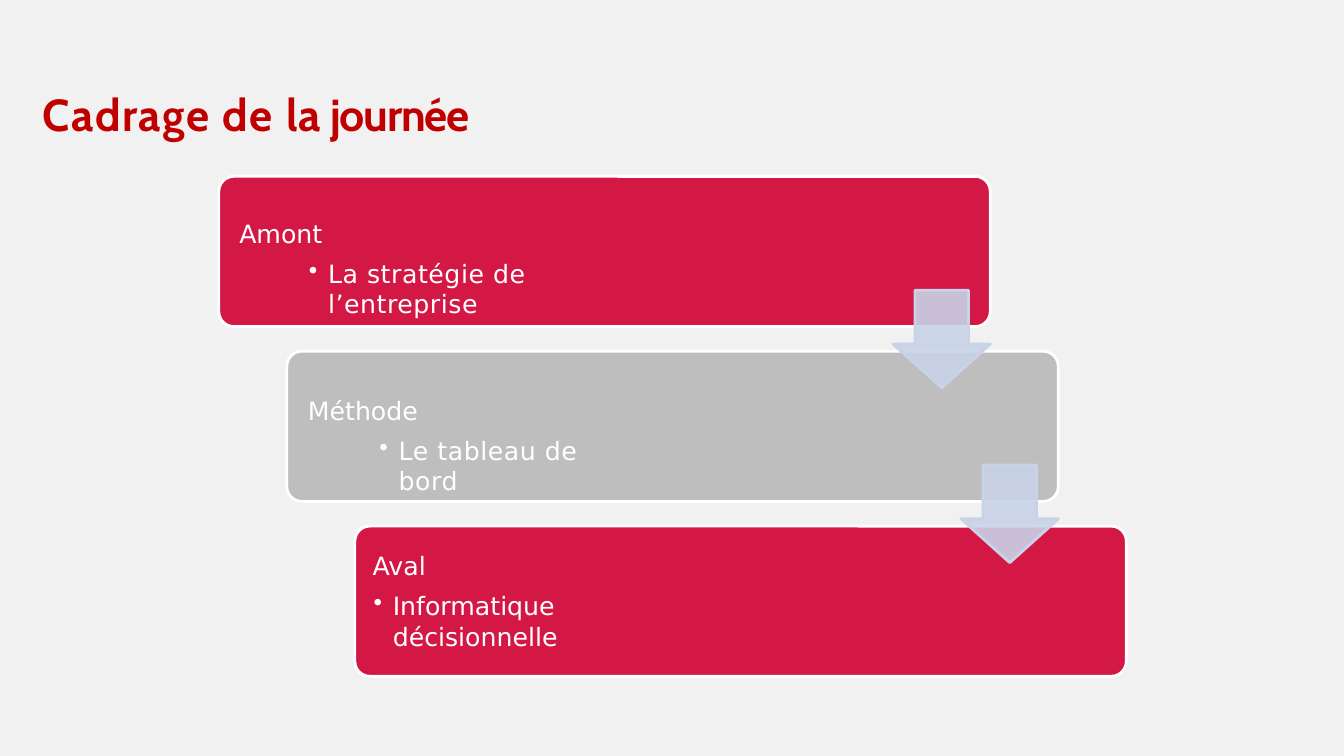
import dataclasses

import pptx
import pptx.dml.color
import pptx.enum.shapes
import pptx.enum.text
import pptx.oxml
import pptx.oxml.ns
import pptx.util


@dataclasses.dataclass(frozen=True)
class Theme:
    background: str = "F1F1F1"
    title: str = "C00000"
    accent: str = "D41846"
    neutral: str = "BEBEBE"
    light: str = "FFFFFF"
    arrow: str = "C8D3E8"
    title_font: str = "Cabin"
    body_font: str = "DejaVu Sans"
    title_size: int = 32
    body_size: int = 18
    bullet_gap: int = 7
    line_width: int = 2


def rgb(value):
    return pptx.dml.color.RGBColor.from_string(value)


class SlideBuilder:
    def __init__(self, presentation, theme):
        self.theme = theme
        self.width = presentation.slide_width
        self.height = presentation.slide_height
        self.slide = presentation.slides.add_slide(presentation.slide_layouts[5])
        fill = self.slide.background.fill
        fill.solid()
        fill.fore_color.rgb = rgb(theme.background)

    def across(self, percent):
        return round(self.width * percent / 100)

    def down(self, percent):
        return round(self.height * percent / 100)

    def box(self, left, top, width, height):
        return self.across(left), self.down(top), self.across(width), self.down(height)

    def style_run(self, run, font, size, color, spacing=0, bold=False):
        run.font.name = font
        run.font.size = pptx.util.Pt(size)
        run.font.color.rgb = rgb(color)
        run.font.bold = bold
        if spacing:
            run.font._element.set("spc", str(round(spacing * 100)))

    def prepare_frame(self, text_frame, left=0, top=0, right=0):
        text_frame.word_wrap = True
        text_frame.auto_size = pptx.enum.text.MSO_AUTO_SIZE.NONE
        text_frame.vertical_anchor = pptx.enum.text.MSO_ANCHOR.TOP
        text_frame.margin_left = self.across(left)
        text_frame.margin_top = self.down(top)
        text_frame.margin_right = self.across(right)
        text_frame.margin_bottom = 0

    def title(self, pieces, left, top, width, height):
        shape = self.slide.shapes.title
        shape.left, shape.top, shape.width, shape.height = self.box(left, top, width, height)
        self.prepare_frame(shape.text_frame)
        paragraph = shape.text_frame.paragraphs[0]
        paragraph.alignment = pptx.enum.text.PP_ALIGN.LEFT
        for text, spacing in pieces:
            run = paragraph.add_run()
            run.text = text
            self.style_run(run, self.theme.title_font, self.theme.title_size,
                           self.theme.title, spacing, True)

    def shape(self, kind, bounds, fill, line, adjustments):
        shape = self.slide.shapes.add_shape(kind, *self.box(*bounds))
        shape.shadow.inherit = False
        shape.fill.solid()
        shape.fill.fore_color.rgb = rgb(fill)
        shape.line.color.rgb = rgb(line)
        shape.line.width = pptx.util.Pt(self.theme.line_width)
        for index, value in enumerate(adjustments):
            shape.adjustments[index] = value
        return shape

    def card(self, bounds, fill, heading, detail, margin, detail_indent, spacing):
        shape = self.shape(pptx.enum.shapes.MSO_SHAPE.ROUNDED_RECTANGLE, bounds,
                           fill, self.theme.light, [0.1])
        self.prepare_frame(shape.text_frame, *margin)
        shape.text_frame.text = f"{heading}\n{detail}"
        for paragraph, tracking in zip(shape.text_frame.paragraphs, (0, spacing)):
            paragraph.alignment = pptx.enum.text.PP_ALIGN.LEFT
            for run in paragraph.runs:
                self.style_run(run, self.theme.body_font, self.theme.body_size,
                               self.theme.light, tracking)
        self.bullet(shape.text_frame.paragraphs[1], detail_indent)

    def bullet(self, paragraph, indent):
        paragraph.space_before = pptx.util.Pt(self.theme.bullet_gap)
        properties = paragraph._p.get_or_add_pPr()
        properties.set("marL", str(self.across(indent)))
        properties.set("indent", str(-self.across(1.43)))
        namespace = pptx.oxml.ns.nsdecls("a")
        properties.append(pptx.oxml.parse_xml(f'<a:buChar {namespace} char="•"/>'))

    def arrow(self, bounds):
        shape = self.shape(pptx.enum.shapes.MSO_SHAPE.DOWN_ARROW, bounds,
                           self.theme.arrow, self.theme.arrow, [0.55, 0.45])
        color = shape.fill._xPr.find(".//" + pptx.oxml.ns.qn("a:srgbClr"))
        namespace = pptx.oxml.ns.nsdecls("a")
        color.append(pptx.oxml.parse_xml(f'<a:alpha {namespace} val="90000"/>'))


def main():
    presentation = pptx.Presentation()
    presentation.slide_width = pptx.util.Inches(13.33)
    presentation.slide_height = pptx.util.Inches(7.5)
    theme = Theme()
    builder = SlideBuilder(presentation, theme)
    builder.title([("Cadrage de ", 1.1), ("la ", -0.1), ("journée", -0.9)],
                  3.15, 11.5, 37.35, 7.5)

    step_across, step_down = 5.06, 23.13
    steps = [
        (theme.accent, "Amont", "La stratégie de l’entreprise", (1.2, 4.93, 32.6), 6.6, 0.4),
        (theme.neutral, "Méthode", "Le tableau de bord", (1.25, 5.2, 32.6), 6.75, 0.4),
        (theme.accent, "Aval", "Informatique décisionnelle", (1, 2.67, 32.6), 1.5, 0),
    ]
    for index, step in enumerate(steps):
        builder.card((16.28 + index * step_across, 23.33 + index * step_down, 57.4, 19.87), *step)
    for index in range(len(steps) - 1):
        builder.arrow((66.45 + index * step_across, 38.4 + index * step_down, 7.24, 12.9))

    presentation.save("out.pptx")


if __name__ == "__main__":
    main()
